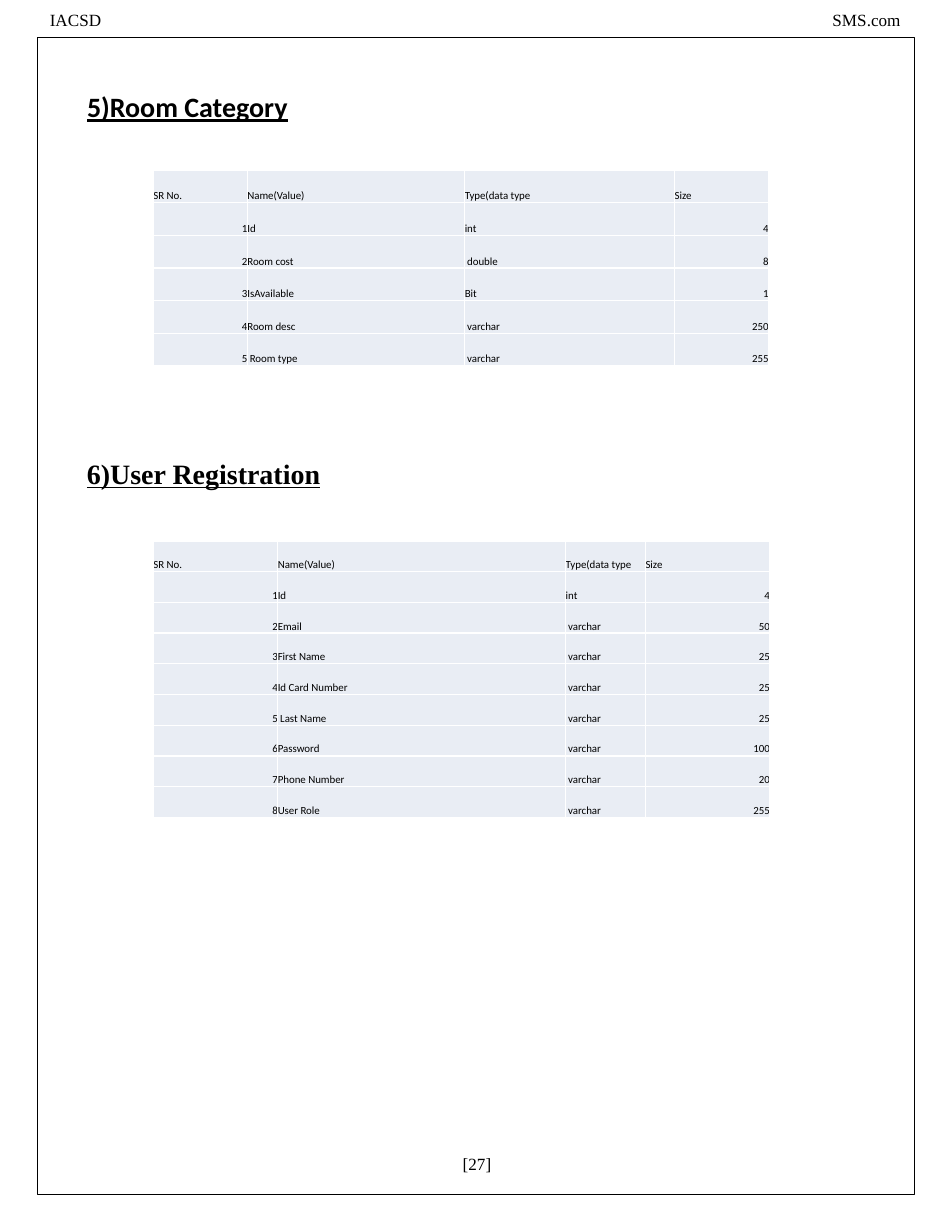
from lxml.etree import SubElement
from pptx import Presentation
from pptx.dml.color import RGBColor as Rgb
from pptx.enum.shapes import MSO_SHAPE as Shape
from pptx.enum.text import MSO_ANCHOR as Anchor, MSO_AUTO_SIZE as Fit, PP_ALIGN as Align
from pptx.oxml.ns import qn
from pptx.util import Cm, Pt

COLORS = {"ink": "000000", "cell": "E9EDF4", "rule": "FFFFFF"}
SERIF, SANS = "Times New Roman", "Calibri"
HEAD = ("SR No.", "Name(Value)", "Type(data type", "Size")
ROOM = [
    ("Id", "int", 4), ("Room cost", " double", 8), ("IsAvailable", "Bit", 1),
    ("Room desc", " varchar", 250), (" Room type", " varchar", 255),
]
USER = [
    ("Id", "int", 4), ("Email", " varchar", 50), ("First Name", " varchar", 25),
    ("Id Card Number", " varchar", 25), (" Last Name", " varchar", 25),
    ("Password", " varchar", 100), ("Phone Number", " varchar", 20),
    ("User Role", " varchar", 255),
]


def color(key):
    return Rgb.from_string(COLORS[key])


def write(frame, text, size, face, align=Align.LEFT):
    para = frame.paragraphs[0]
    para.text = text
    para.alignment = align
    para.font.size, para.font.name = Pt(size), face
    para.font.color.rgb = color("ink")
    return para


def add_label(slide, text, left, top, width, height, inset=0):
    frame = slide.shapes.add_textbox(Cm(left), Cm(top), Cm(width), Cm(height)).text_frame
    frame.word_wrap = True
    frame.margin_left, frame.margin_top = Cm(0.03), Cm(inset)
    frame.margin_right = frame.margin_bottom = 0
    return write(frame, text, 11, SERIF)


def add_page(slide, left, top, width, height):
    """Running heads, border and page number around the given box."""
    add_label(slide, "IACSD", left + 0.25, top - 0.67, 1.24, 0.53, 0.03)
    add_label(slide, "SMS.com", left + width - 1.89, top - 0.67, 1.63, 0.53, 0.03)
    edge = slide.shapes.add_shape(Shape.RECTANGLE, Cm(left), Cm(top), Cm(width), Cm(height))
    edge.shadow.inherit = False
    edge.fill.background()
    edge.line.color.rgb = color("ink")
    edge.line.width = Pt(0.5)
    mark = add_label(slide, "[27]", left + width / 2 - 0.33, top + height - 0.93, 0.84, 0.46)
    mark.line_spacing = Pt(13.1)


def add_rules(cell):
    for side in ("lnL", "lnR", "lnT", "lnB"):
        line = SubElement(cell._tc.get_or_add_tcPr(), qn(f"a:{side}"), w=str(Pt(1)))
        SubElement(SubElement(line, qn("a:solidFill")), qn("a:srgbClr"), val=COLORS["rule"])


def fill_cell(cell, value):
    add_rules(cell)
    cell.fill.solid()
    cell.fill.fore_color.rgb = color("cell")
    cell.vertical_anchor = Anchor.BOTTOM
    cell.margin_left = cell.margin_right = cell.margin_bottom = 0
    cell.margin_top = Cm(0.02)
    align = Align.RIGHT if isinstance(value, int) else Align.LEFT
    write(cell.text_frame, str(value), 7, SANS, align)


def add_section(slide, box, title, face, left, top, gap, cols, height, fields):
    """A heading in the given shape, with its numbered field table below."""
    box.left, box.top, box.width, box.height = Cm(left), Cm(top), Cm(10.8), Cm(1.02)
    frame = box.text_frame
    frame.word_wrap, frame.auto_size = True, Fit.NONE
    frame.vertical_anchor = Anchor.TOP
    font = write(frame, title, 18, face).font
    font.bold = font.underline = True

    rows = [HEAD] + [(num, *field) for num, field in enumerate(fields, 1)]
    table = slide.shapes.add_table(
        len(rows), len(cols), Cm(left + 1.76), Cm(top + gap),
        Cm(sum(cols)), Cm(height)).table
    table.first_row = table.horz_banding = False
    for col, width in zip(table.columns, cols):
        col.width = Cm(width)
    for row, values in zip(table.rows, rows):
        row.height = Cm(height / len(rows))
        for cell, value in zip(row.cells, values):
            fill_cell(cell, value)


def main():
    deck = Presentation()
    deck.slide_width, deck.slide_height = Cm(21.59), Cm(27.94)
    slide = deck.slides.add_slide(deck.slide_layouts[5])
    add_page(slide, 0.85, 0.85, 19.89, 26.24)

    # Two data tables under their headings
    add_section(slide, slide.shapes.title, "5)Room Category", SANS,
                1.72, 1.9, 1.96, (2.13, 4.93, 4.76, 2.13), 4.44, ROOM)
    box = slide.shapes.add_textbox(0, 0, 0, 0)
    add_section(slide, box, "6)User Registration", SERIF,
                1.72, 10.23, 2.04, (2.82, 6.53, 1.81, 2.82), 6.27, USER)
    deck.save("out.pptx")


if __name__ == "__main__":
    main()
